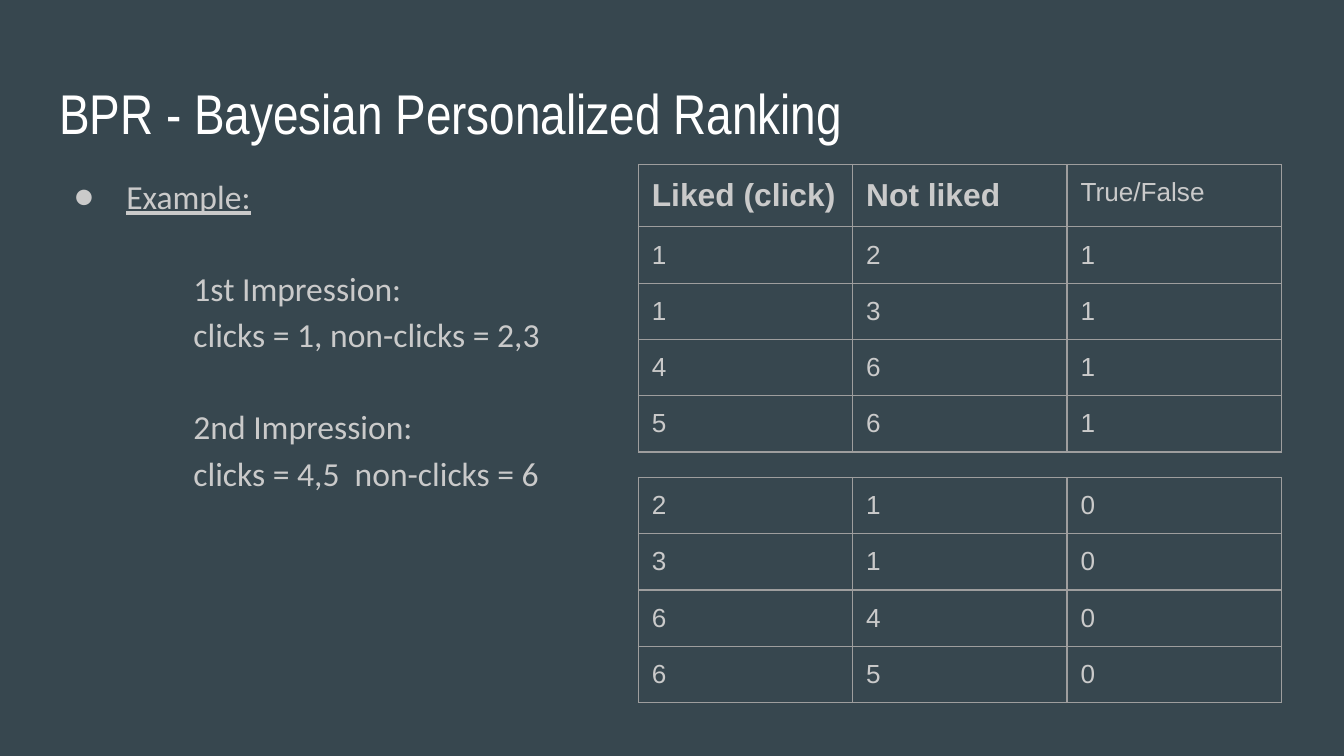
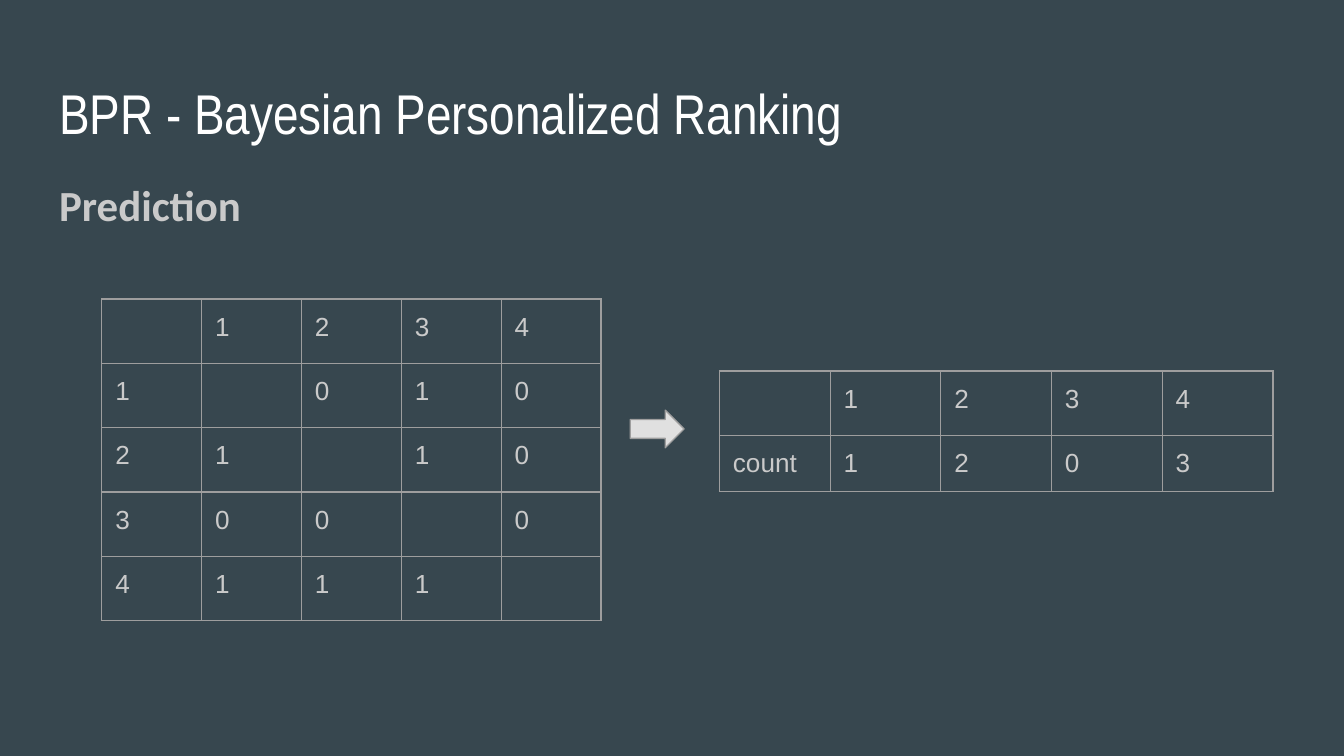
from lxml import etree
from pptx import Presentation
from pptx import util as u
from pptx.dml.color import RGBColor
from pptx.enum import shapes, text
from pptx.oxml import ns

COLUMNS, ROWS = 100, 56.25
TITLE = "BPR - Bayesian Personalized Ranking"


def color(value):
    return RGBColor.from_string(value)


class Deck:
    """Holds the shared style and the current slide."""

    background, white, grey = "37474F", "FFFFFF", "CACACA"
    border, arrow_fill = "9E9E9E", "E0E0E0"
    title_font, body_font, table_font = "Arial Narrow", "Calibri", "Arial"
    margin, full_width = 3.41, 93.2

    def __init__(self):
        self.presentation = Presentation()
        self.presentation.slide_width = u.Inches(10)
        self.presentation.slide_height = u.Inches(10) * 9 // 16
        fill = self.presentation.slide_master.background.fill
        fill.solid()
        fill.fore_color.rgb = color(self.background)
        self.slide = None

    def x(self, columns):
        return int(self.presentation.slide_width * columns / COLUMNS)

    def y(self, rows):
        return int(self.presentation.slide_height * rows / ROWS)

    def box(self, left, top, width, height):
        return self.x(left), self.y(top), self.x(width), self.y(height)

    def format_runs(self, paragraph, font, size, value, bold=False, underline=False):
        for run in paragraph.runs:
            run.font.name, run.font.size = font, u.Pt(size)
            run.font.bold, run.font.underline = bold, underline
            run.font.color.rgb = color(value)

    def format_frame(self, frame):
        frame.word_wrap = True
        frame.auto_size = text.MSO_AUTO_SIZE.NONE
        frame.vertical_anchor = text.MSO_ANCHOR.TOP
        frame.margin_left = frame.margin_right = u.Inches(0.1)
        frame.margin_top = frame.margin_bottom = u.Inches(0.1)

    def add_slide(self, title):
        layout = self.presentation.slide_layouts.get_by_name("Title Only")
        self.slide = self.presentation.slides.add_slide(layout)
        shape = self.slide.shapes.title
        shape.left, shape.top, shape.width, shape.height = self.box(
            self.margin, 4.87, self.full_width, 6.3)
        shape.text_frame.text = title
        self.format_frame(shape.text_frame)
        paragraph = shape.text_frame.paragraphs[0]
        paragraph.alignment = text.PP_ALIGN.LEFT
        self.format_runs(paragraph, self.title_font, 30, self.white)

    def add_body(self, top, lines, size, bold=False):
        shape = self.slide.shapes.add_textbox(
            *self.box(self.margin, top, self.full_width, 37.4))
        self.format_frame(shape.text_frame)
        shape.text_frame.text = "\n".join(lines)
        for paragraph in shape.text_frame.paragraphs:
            paragraph.line_spacing = 1.15
            self.format_runs(paragraph, self.body_font, size, self.grey, bold)
        return shape.text_frame.paragraphs

    def indent(self, paragraph, left, first=0, bullet=None):
        properties = paragraph._p.get_or_add_pPr()
        properties.set("marL", str(self.x(left)))
        properties.set("indent", str(self.x(first)))
        if bullet:
            bullet_color = etree.SubElement(properties, ns.qn("a:buClr"))
            etree.SubElement(bullet_color, ns.qn("a:srgbClr"), val=self.grey)
            etree.SubElement(properties, ns.qn("a:buFont"), typeface=self.body_font)
            etree.SubElement(properties, ns.qn("a:buChar"), char=bullet)

    def add_borders(self, cell):
        properties = cell._tc.get_or_add_tcPr()
        for position, side in enumerate(("lnL", "lnR", "lnT", "lnB")):
            line = etree.Element(ns.qn(f"a:{side}"), w=str(u.Pt(0.75)))
            fill = etree.SubElement(line, ns.qn("a:solidFill"))
            etree.SubElement(fill, ns.qn("a:srgbClr"), val=self.border)
            properties.insert(position, line)

    def fill_cell(self, cell, value):
        cell.margin_left = cell.margin_right = u.Inches(0.1)
        cell.margin_top = cell.margin_bottom = u.Inches(0.1)
        cell.fill.background()
        self.add_borders(cell)
        paragraph = cell.text_frame.paragraphs[0]
        if value:
            paragraph.text = value
            self.format_runs(paragraph, self.table_font, 14, self.grey)
        else:
            # Keeps an empty cell from stretching its row
            etree.SubElement(paragraph._p, ns.qn("a:endParaRPr"), sz="1400")

    def add_table(self, left, top, column_width, row_heights, rows):
        count = len(rows[0])
        table = self.slide.shapes.add_table(len(rows), count, *self.box(
            left, top, column_width * count, sum(row_heights))).table
        table.first_row = table.horz_banding = False
        for column in table.columns:
            column.width = self.x(column_width)
        for row, height, values in zip(table.rows, row_heights, rows):
            row.height = self.y(height)
            for cell, value in zip(row.cells, values):
                self.fill_cell(cell, value)
        return table

    def add_arrow(self, left, top, width, height):
        shape = self.slide.shapes.add_shape(
            shapes.MSO_SHAPE.RIGHT_ARROW, *self.box(left, top, width, height))
        shape.shadow.inherit = False
        shape.fill.solid()
        shape.fill.fore_color.rgb = color(self.arrow_fill)
        shape.line.color.rgb = color(self.border)
        shape.line.width = u.Pt(0.75)


def build_example(deck):
    deck.add_slide(TITLE)

    # Two impressions
    heading, *impressions = deck.add_body(11.64, [
        "Example:",
        "1st Impression:", "clicks = 1, non-clicks = 2,3",
        "2nd Impression:", "clicks = 4,5  non-clicks = 6"], 18)
    deck.indent(heading, 5, -3.9, "●")
    heading.runs[0].font.underline = True
    for paragraph in impressions:
        deck.indent(paragraph, 10)
    for paragraph in impressions[::2]:
        paragraph.space_before = u.Pt(24.5)

    # Training pairs, and the same pairs reversed
    pairs = [("1", "2"), ("1", "3"), ("4", "6"), ("5", "6")]
    header = ("Liked (click)", "Not liked", "True/False")
    liked = [(click, other, "1") for click, other in pairs]
    reversed_pairs = [(other, click, "0") for click, other in pairs]
    table = deck.add_table(47.5, 12.23, 15.95, [4.63] + [4.17] * 4, [header] + liked)
    for column in range(2):
        deck.format_runs(table.cell(0, column).text_frame.paragraphs[0],
                         deck.table_font, 17, deck.grey, bold=True)
    deck.add_table(47.5, 35.52, 15.95, [4.17] * 4, reversed_pairs)


def build_prediction(deck):
    deck.add_slide(TITLE)
    deck.add_body(11.7, ["Prediction"], 23, bold=True)

    # Pairwise matrix and its row sums
    header = ["", "1", "2", "3", "4"]
    matrix = [["1", "", "0", "1", "0"],
              ["2", "1", "", "1", "0"],
              ["3", "0", "0", "", "0"],
              ["4", "1", "1", "1", ""]]
    deck.add_table(7.58, 22.24, 7.43, [4.79] * 5, [header] + matrix)
    deck.add_table(53.53, 27.6, 8.24, [4.79, 4.17],
                   [header, ["count", "1", "2", "0", "3"]])
    deck.add_arrow(46.9, 30.52, 4, 2.8)


def main():
    deck = Deck()
    build_example(deck)
    build_prediction(deck)
    deck.presentation.save("out.pptx")


if __name__ == "__main__":
    main()
